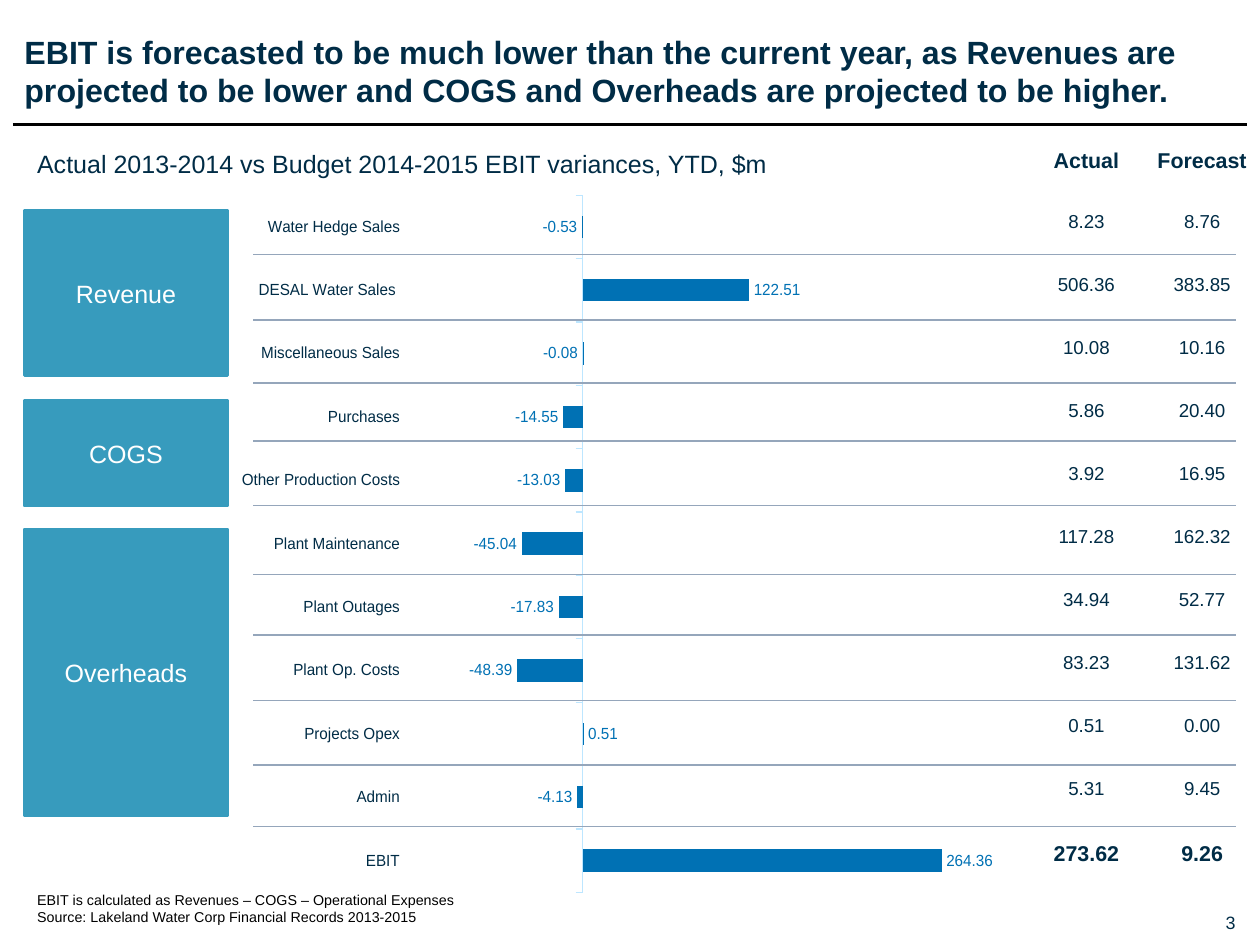
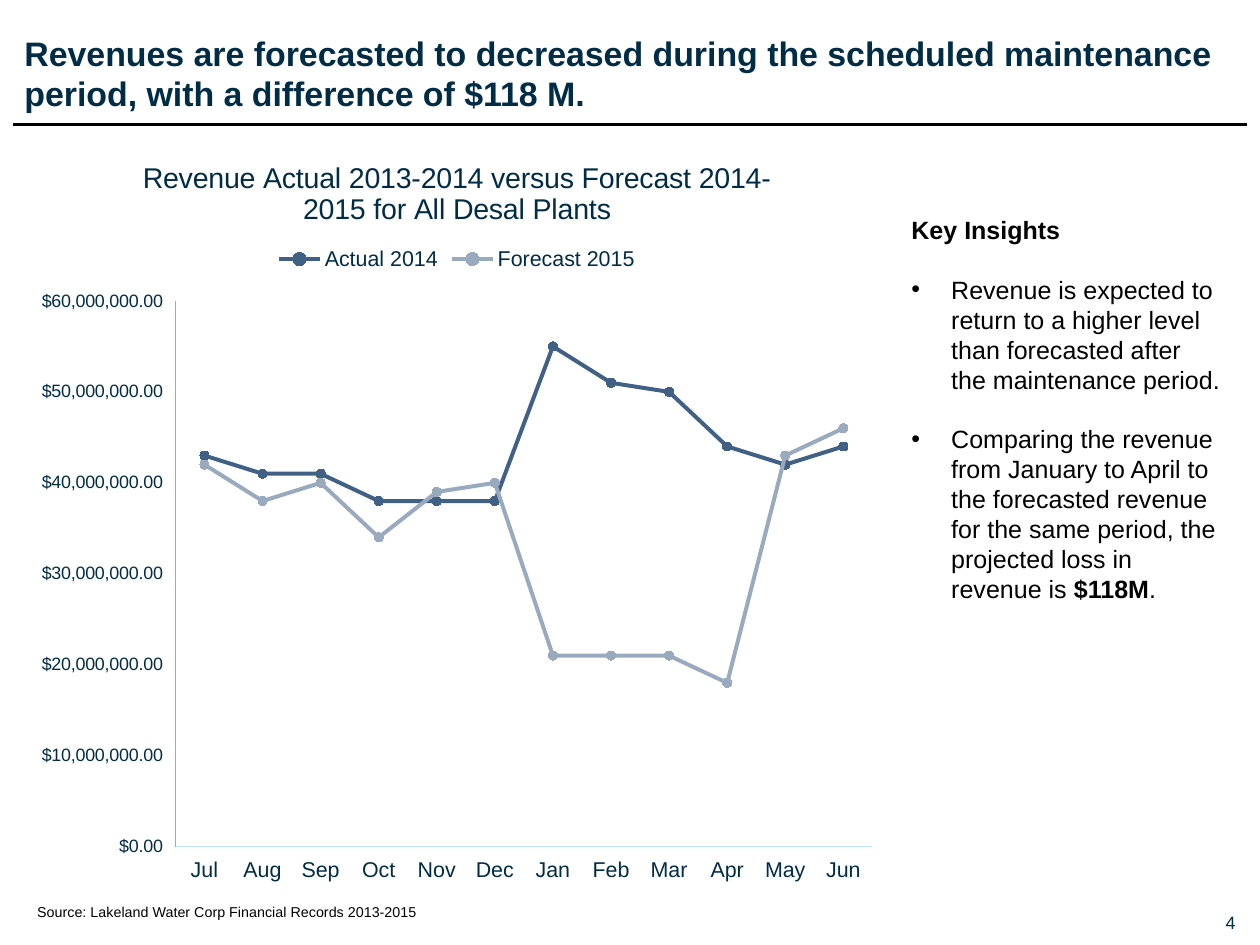
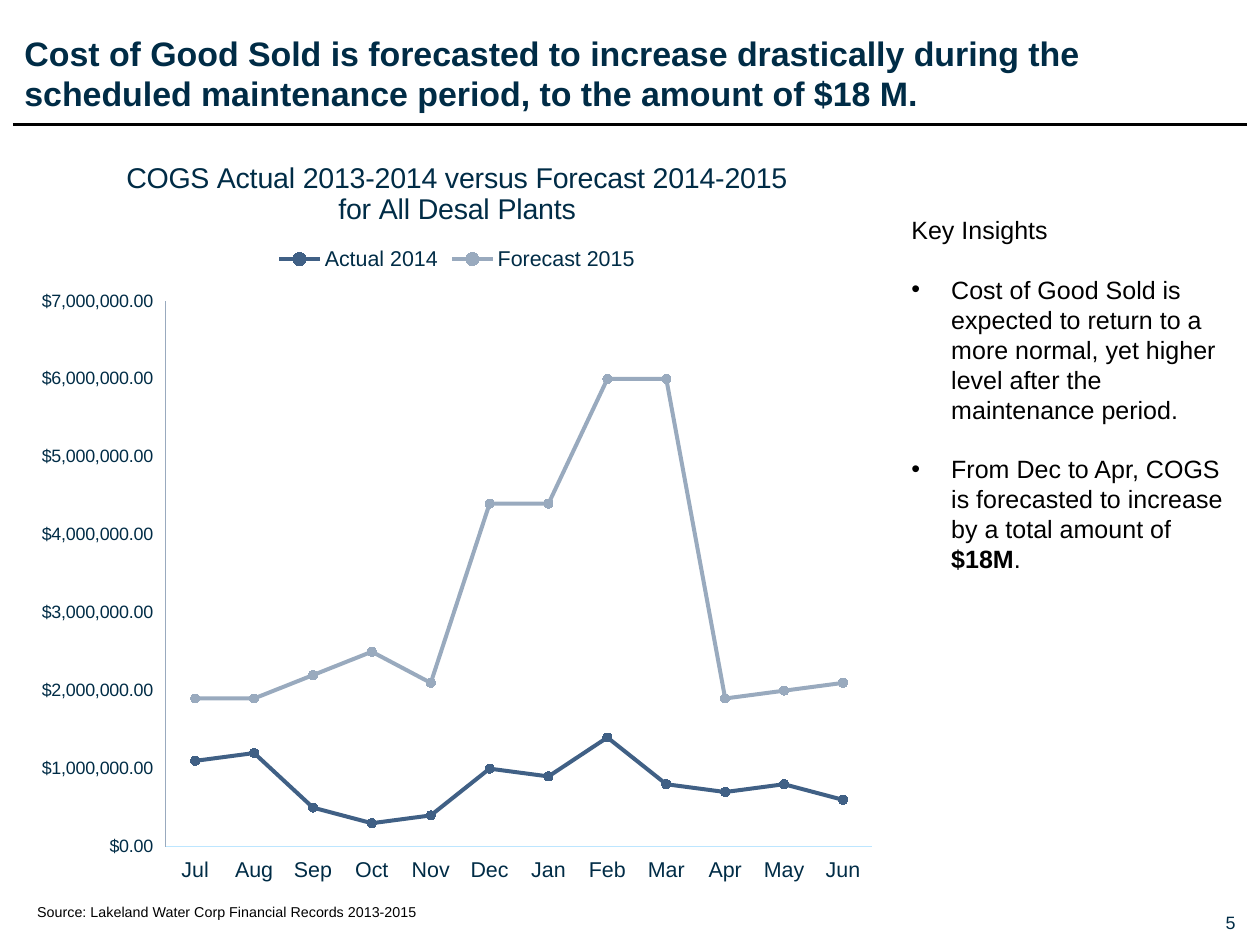
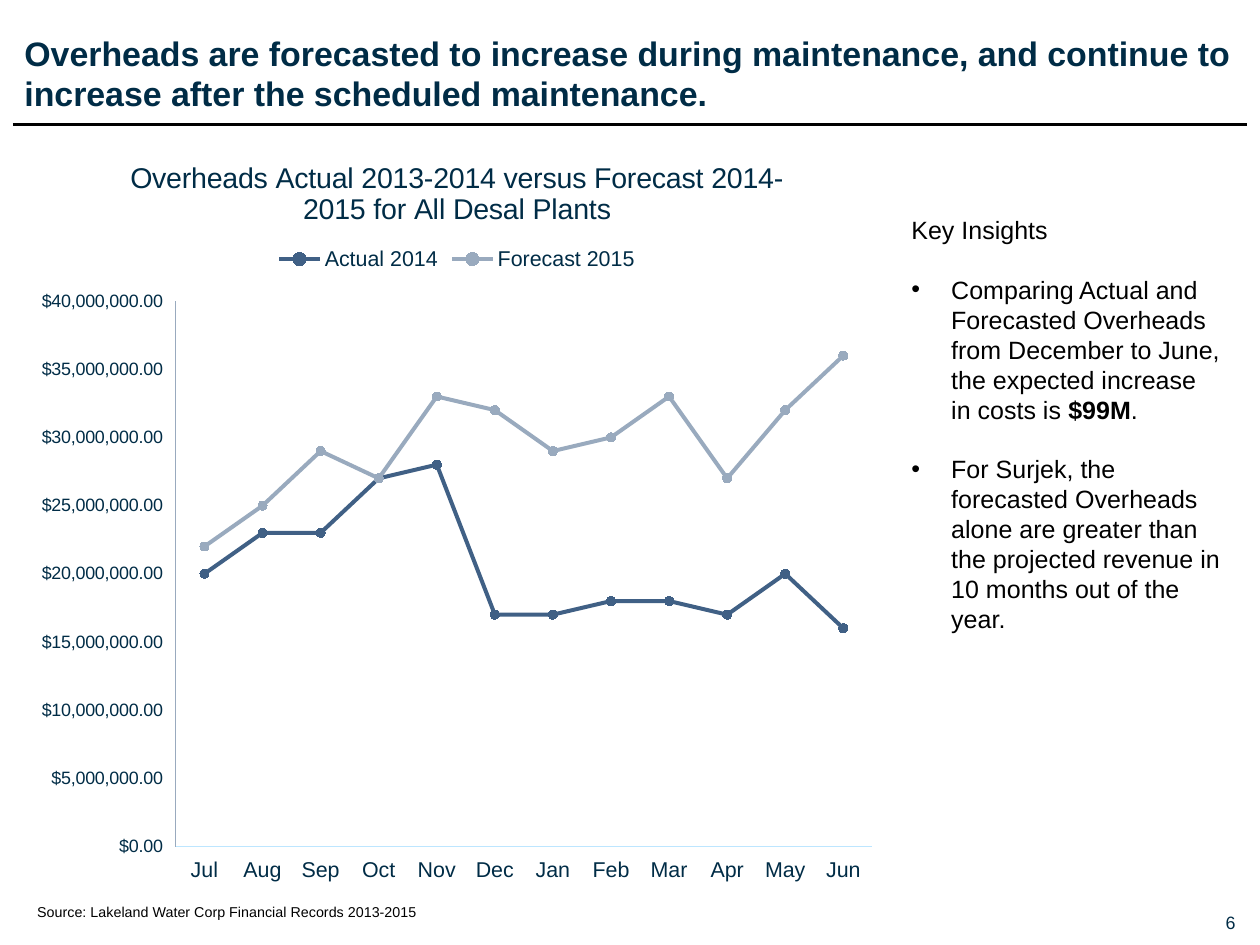
"""Build four slides that compare actual and forecast results."""
from dataclasses import dataclass
from typing import Any

from lxml.etree import SubElement
from pptx import Presentation
from pptx.chart.axis import _BaseAxis as Axis
from pptx.chart.chart import Chart
from pptx.chart.data import CategoryChartData
from pptx.dml.color import RGBColor
from pptx.enum.chart import (XL_CHART_TYPE, XL_LABEL_POSITION, XL_LEGEND_POSITION,
                             XL_MARKER_STYLE, XL_TICK_LABEL_POSITION, XL_TICK_MARK)
from pptx.enum.shapes import MSO_CONNECTOR, MSO_SHAPE
from pptx.enum.text import MSO_ANCHOR, PP_ALIGN
from pptx.oxml.ns import qn
from pptx.slide import Slide
from pptx.text.text import Font, TextFrame, _Paragraph as Para
from pptx.util import Inches, Pt

NAVY, TEAL, BLUE, STEEL, MIST = "002C46", "379BBD", "0071B4", "406085", "99AABE"
PALE, RULE, BLACK, WHITE = "BDE6FF", "95A6BB", "000000", "FFFFFF"
SOURCE = "Source: Lakeland Water Corp Financial Records 2013-2015"
MONTHS = "Jul Aug Sep Oct Nov Dec Jan Feb Mar Apr May Jun".split()
LEFT = 0.19
INDENT = 0.31
NO_PAD = dict.fromkeys(("margin_left", "margin_top", "margin_right", "margin_bottom"), 0)


@dataclass
class Item:
    """One row of the variance slide."""
    name: str
    gap: float
    actual: str
    forecast: str


@dataclass
class Group:
    """A block that spans some rows."""
    name: str
    top: float
    height: float


@dataclass
class Trend:
    """A slide with a line chart and its insights."""
    title: str
    topic: str
    actual: list[float]
    forecast: list[float]
    peak: float
    step: float
    points: list[list[str]]
    bold: bool = False


ITEMS = [
    Item("Water Hedge Sales", -0.53, "8.23", "8.76"),
    Item("DESAL Water Sales ", 122.51, "506.36", "383.85"),
    Item("Miscellaneous Sales", -0.08, "10.08", "10.16"),
    Item("Purchases", -14.55, "5.86", "20.40"),
    Item("Other Production Costs", -13.03, "3.92", "16.95"),
    Item("Plant Maintenance", -45.04, "117.28", "162.32"),
    Item("Plant Outages", -17.83, "34.94", "52.77"),
    Item("Plant Op. Costs", -48.39, "83.23", "131.62"),
    Item("Projects Opex", 0.51, "0.51", "0.00"),
    Item("Admin", -4.13, "5.31", "9.45"),
    Item("EBIT", 264.36, "273.62", "9.26"),
]
GROUPS = [Group("Revenue", 1.64, 1.28), Group("COGS", 3.12, 0.81),
          Group("Overheads", 4.12, 2.22)]
RULES = [1.98, 2.49, 2.98, 3.43, 3.93, 4.47, 4.94, 5.45, 5.95, 6.43]
TRENDS = [
    Trend("Revenues are forecasted to decreased during the scheduled maintenance period, "
          "with a difference of $118 M.", "Revenue",
          [43, 41, 41, 38, 38, 38, 55, 51, 50, 44, 42, 44],
          [42, 38, 40, 34, 39, 40, 21, 21, 21, 18, 43, 46], 60, 10,
          [["Revenue is expected to return to a higher level than forecasted after "
            "the maintenance period."],
           ["Comparing the revenue from January to April to the forecasted revenue for "
            "the same period, the projected loss in revenue is ", "$118M", "."]], True),
    Trend("Cost of Good Sold is forecasted to increase drastically during the scheduled "
          "maintenance period, to the amount of $18 M.", "COGS",
          [1.1, 1.2, 0.5, 0.3, 0.4, 1, 0.9, 1.4, 0.8, 0.7, 0.8, 0.6],
          [1.9, 1.9, 2.2, 2.5, 2.1, 4.4, 4.4, 6, 6, 1.9, 2, 2.1], 7, 1,
          [["Cost of Good Sold is expected to return to a more normal, yet higher level "
            "after the maintenance period."],
           ["From Dec to Apr, COGS is forecasted to increase by a total amount of ",
            "$18M", "."]]),
    Trend("Overheads are forecasted to increase during maintenance, and continue to "
          "increase after the scheduled maintenance.", "Overheads",
          [20, 23, 23, 27, 28, 17, 17, 18, 18, 17, 20, 16],
          [22, 25, 29, 27, 33, 32, 29, 30, 33, 27, 32, 36], 40, 5,
          [["Comparing Actual and Forecasted Overheads from December to June, the "
            "expected increase in costs is ", "$99M", "."],
           ["For Surjek, the forecasted Overheads alone are greater than the projected "
            "revenue in 10 months out of the year."]]),
]


def put(thing: Any, **values: Any) -> None:
    """Set each named value on a thing."""
    for name, value in values.items():
        setattr(thing, name, value)


def tint(hue: str) -> RGBColor:
    """Turn a hex string into a colour."""
    return RGBColor.from_string(hue)


def paint(fill: Any, hue: str) -> None:
    """Make a fill solid."""
    fill.solid()
    fill.fore_color.rgb = tint(hue)


def stroke(line: Any, hue: str, width: float) -> None:
    """Style a line."""
    paint(line.fill, hue)
    line.width = Pt(width)


def style(font: Font, size: float, hue: str = NAVY, bold: bool = False) -> None:
    """Style a font."""
    put(font, name="Arial", size=Pt(size), bold=bold)
    font.color.rgb = tint(hue)


def write(para: Para, text: str, size: float, hue: str = NAVY, bold: bool = False) -> None:
    """Add a styled run."""
    run = para.add_run()
    run.text = text
    style(run.font, size, hue, bold)


def frame(slide: Slide, *box: float, **values: Any) -> TextFrame:
    """Add a text box that wraps."""
    text = slide.shapes.add_textbox(*map(Inches, box)).text_frame
    put(text, word_wrap=True, **values)
    return text


def rule(slide: Slide, left: float, right: float, top: float, hue: str, width: float) -> None:
    """Draw a level line."""
    line = slide.shapes.add_connector(
        MSO_CONNECTOR.STRAIGHT, *map(Inches, (left, top, right, top)))
    stroke(line.line, hue, width)
    SubElement(line._element.spPr, qn("a:effectLst"))


def begin(deck: Any, title: str, size: float, number: int) -> Slide:
    """Add a slide with its number, rule and title."""
    slide = deck.slides.add_slide(deck.slide_layouts[6])
    page = frame(slide, 9.44, 7.09, 0.17, 0.17, vertical_anchor=MSO_ANCHOR.MIDDLE, **NO_PAD)
    page.paragraphs[0].alignment = PP_ALIGN.RIGHT
    write(page.paragraphs[0], str(number), 10)
    rule(slide, 0.1, 9.7, 0.97, BLACK, 2)
    head = frame(slide, LEFT, 0.25, 9.43, 0.64, **NO_PAD)
    write(head.paragraphs[0], title, size, bold=True)
    return slide


def note(slide: Slide, top: float, *lines: str) -> None:
    """Write the footnote lines."""
    text = frame(slide, LEFT, top, 7.11, 0.24)
    for spot, line in enumerate(lines):
        para = text.add_paragraph() if spot else text.paragraphs[0]
        write(para, line, 8, BLACK)


def plot(slide: Slide, kind: Any, data: CategoryChartData, *box: float) -> Chart:
    """Add a chart with the shared font and no grid."""
    chart = slide.shapes.add_chart(kind, *map(Inches, box), data).chart
    style(chart.font, 10)
    put(chart, has_title=False, has_legend=False)
    chart.plots[0].vary_by_categories = False
    chart.value_axis.has_major_gridlines = False
    return chart


def dress(axis: Axis, size: float, hue: str, tick: Any, place: Any) -> None:
    """Style an axis."""
    put(axis, major_tick_mark=tick, minor_tick_mark=XL_TICK_MARK.NONE,
        tick_label_position=place)
    style(axis.tick_labels.font, size)
    stroke(axis.format.line, hue, 0.75)


def inset(chart: Chart, **parts: float) -> None:
    """Fix the inner plot area as shares of the chart."""
    area = chart._chartSpace.chart.plotArea
    for old in area.findall(qn("c:layout")):
        area.remove(old)
    layout = SubElement(area, qn("c:layout"))
    area.insert(0, layout)
    manual = SubElement(layout, qn("c:manualLayout"))
    modes = dict(layoutTarget="inner", xMode="edge", yMode="edge")
    for name, value in {**modes, **parts}.items():
        SubElement(manual, qn(f"c:{name}")).set("val", str(value))


def bars(slide: Slide) -> None:
    """Draw the variance bars."""
    data = CategoryChartData(number_format="0.00")
    rows = ITEMS[::-1]
    data.categories = [row.name for row in rows]
    data.add_series("Series 1", [row.gap for row in rows])
    chart = plot(slide, XL_CHART_TYPE.BAR_CLUSTERED, data, 1.88, 1.02, 6.46, 6.08)
    dress(chart.category_axis, 9, PALE, XL_TICK_MARK.OUTSIDE, XL_TICK_LABEL_POSITION.LOW)
    put(chart.value_axis, visible=False, minimum_scale=-126, maximum_scale=297)
    inset(chart, x=0.159, y=0.082, w=0.731, h=0.892)
    chart.plots[0].gap_width = 182
    series = chart.plots[0].series[0]
    series.invert_if_negative = False
    paint(series.format.fill, BLUE)
    labels = series.data_labels
    put(labels, show_value=True, position=XL_LABEL_POSITION.OUTSIDE_END,
        number_format="0.00", number_format_is_linked=False)
    style(labels.font, 9, BLUE)


def table(slide: Slide) -> None:
    """Draw the actual and forecast figures."""
    rows = [("Actual", "Forecast"), *((row.actual, row.forecast) for row in ITEMS)]
    box = map(Inches, (8, 1.11, 1.8, 0.49 * len(rows)))
    grid = slide.shapes.add_table(len(rows), 2, *box).table
    put(grid, first_row=False, horz_banding=False)
    for down, row in enumerate(rows):
        bold = down in (0, len(rows) - 1)
        for across, text in enumerate(row):
            cell = grid.cell(down, across)
            paint(cell.fill, WHITE)
            para = cell.text_frame.paragraphs[0]
            para.alignment = PP_ALIGN.CENTER
            write(para, text, 12 if bold else 10.5, bold=bold)


def block(slide: Slide, group: Group) -> None:
    """Draw a group block."""
    box = map(Inches, (LEFT, group.top, 1.58, group.height))
    shape = slide.shapes.add_shape(MSO_SHAPE.RECTANGLE, *box)
    shape.shadow.inherit = False
    paint(shape.fill, TEAL)
    stroke(shape.line, TEAL, 2)
    shape.text_frame.vertical_anchor = MSO_ANCHOR.MIDDLE
    para = shape.text_frame.paragraphs[0]
    para.alignment = PP_ALIGN.CENTER
    write(para, group.name, 14, WHITE)


def lines(slide: Slide, trend: Trend) -> None:
    """Draw the monthly line chart."""
    data = CategoryChartData(number_format='"$"#,##0.00')
    data.categories = MONTHS
    for name, values in (("Actual 2014", trend.actual), ("Forecast 2015", trend.forecast)):
        data.add_series(name, [round(value * 1e6) for value in values])
    chart = plot(slide, XL_CHART_TYPE.LINE_MARKERS, data, LEFT, 1.03, 6.73, 5.95)
    put(chart, has_title=True, has_legend=True)
    write(chart.chart_title.text_frame.paragraphs[0],
          f"{trend.topic} Actual 2013-2014 versus Forecast 2014-2015 for All Desal Plants", 16)
    put(chart.legend, position=XL_LEGEND_POSITION.TOP, include_in_layout=False)
    style(chart.legend.font, 12)
    none, low = XL_TICK_MARK.NONE, XL_TICK_LABEL_POSITION.LOW
    dress(chart.category_axis, 12, PALE, none, low)
    dress(chart.value_axis, 10, MIST, none, low)
    put(chart.value_axis, minimum_scale=0, maximum_scale=trend.peak * 1e6,
        major_unit=trend.step * 1e6)
    put(chart.value_axis.tick_labels, number_format='"$"#,##0.00',
        number_format_is_linked=False)
    for series, hue in zip(chart.plots[0].series, (STEEL, MIST)):
        series.smooth = False
        stroke(series.format.line, hue, 2.25)
        put(series.marker, style=XL_MARKER_STYLE.CIRCLE, size=5)
        paint(series.marker.format.fill, hue)
        stroke(series.marker.format.line, hue, 0.75)


def insights(slide: Slide, trend: Trend) -> None:
    """Write the key insights as bullets."""
    text = frame(slide, 6.99, 1.62, 2.62, 3.16)
    write(text.paragraphs[0], "Key Insights", 14, BLACK, trend.bold)
    for point in trend.points:
        para = text.add_paragraph()
        para.space_before = Pt(16.5)
        props = para._p.get_or_add_pPr()
        props.set("marL", str(Inches(INDENT)))
        props.set("indent", str(-Inches(INDENT)))
        SubElement(props, qn("a:buFont")).set("typeface", "Arial")
        SubElement(props, qn("a:buChar")).set("char", "•")
        for spot, part in enumerate(point):
            write(para, part, 14, BLACK, spot == 1)


def main() -> None:
    """Build and save the deck."""
    deck = Presentation()
    put(deck, slide_width=Inches(9.8), slide_height=Inches(7.35))
    slide = begin(deck, "EBIT is forecasted to be much lower than the current year, as "
                  "Revenues are projected to be lower and COGS and Overheads are "
                  "projected to be higher.", 18, 3)
    bars(slide)
    table(slide)
    for group in GROUPS:
        block(slide, group)
    lead = frame(slide, LEFT, 1.11, 7.7, 0.57)
    write(lead.paragraphs[0],
          "Actual 2013-2014 vs Budget 2014-2015 EBIT variances, YTD, $m", 14)
    for top in RULES:
        rule(slide, 1.97, 9.61, top, RULE, 0.75)
    note(slide, 6.88, "EBIT is calculated as Revenues – COGS – Operational Expenses", SOURCE)
    for number, trend in enumerate(TRENDS, 4):
        slide = begin(deck, trend.title, 19, number)
        lines(slide, trend)
        insights(slide, trend)
        note(slide, 6.98, SOURCE)
    deck.save("out.pptx")


main()
